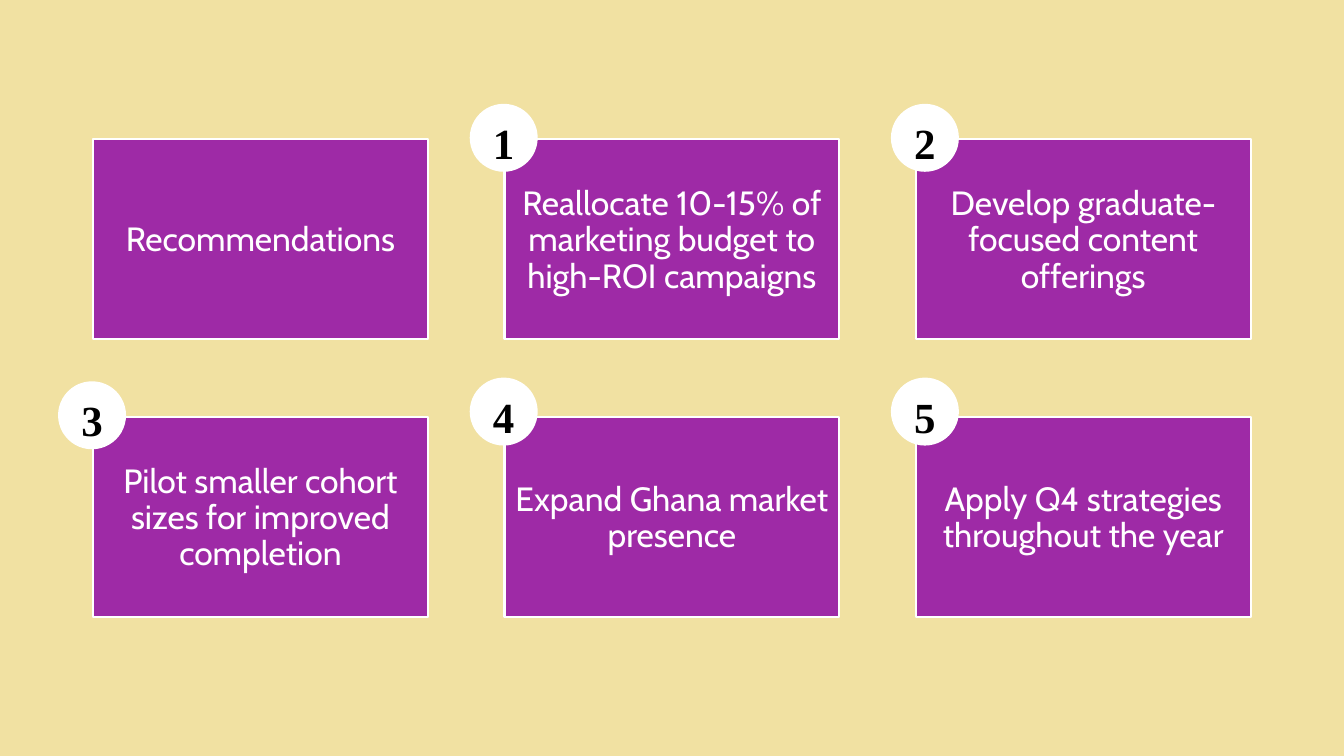
"""Build a slide with a title card and five numbered recommendation cards."""
from pptx import Presentation
from pptx.dml.color import RGBColor
from pptx.enum.shapes import MSO_SHAPE
from pptx.enum.text import MSO_ANCHOR, MSO_AUTO_SIZE, PP_ALIGN
from pptx.util import Cm, Pt

RECTANGLE = MSO_SHAPE.RECTANGLE
OVAL = MSO_SHAPE.OVAL
MIDDLE = MSO_ANCHOR.MIDDLE
NO_AUTOFIT = MSO_AUTO_SIZE.NONE
CENTER = PP_ALIGN.CENTER

SAND = RGBColor(0xF1, 0xE1, 0xA2)
PURPLE = RGBColor(0x9E, 0x2A, 0xA6)
WHITE = RGBColor(0xFF, 0xFF, 0xFF)
BLACK = RGBColor(0x00, 0x00, 0x00)

GRID_LEFT, GRID_TOP = 3.52, 5.25
COLUMN_STEP, ROW_STEP = 15.55, 10.5
COLUMNS = 3

TITLE = "Recommendations"
RECOMMENDATIONS = [
    ("Reallocate 10-15% of marketing budget to high-ROI campaigns", (19.04, 5.21)),
    ("Develop graduate-focused content offerings", (34.96, 5.21)),
    ("Pilot smaller cohort sizes for improved completion", (3.48, 15.7)),
    ("Expand Ghana market presence", (19.04, 15.56)),
    ("Apply Q4 strategies throughout the year", (34.96, 15.56)),
]


class CardPage:
    card_width, card_height = Cm(12.65), Cm(7.58)
    border = Pt(2.25)
    badge_size = 2.57
    card_font, badge_font = "Cabin", "Times New Roman"

    def __init__(self, page):
        self.page = page
        fill = page.background.fill
        fill.solid()
        fill.fore_color.rgb = SAND

    def paint(self, shape, color):
        shape.shadow.inherit = False
        shape.fill.solid()
        shape.fill.fore_color.rgb = color

    def set_text(self, shape, text, name, size, color, spacing, bold=False):
        frame = shape.text_frame
        frame.text = text
        frame.word_wrap = True
        frame.auto_size = NO_AUTOFIT
        frame.vertical_anchor = MIDDLE
        frame.margin_left = frame.margin_right = 0
        frame.margin_top = frame.margin_bottom = 0
        para = frame.paragraphs[0]
        para.alignment = CENTER
        para.line_spacing = Pt(spacing)
        para.space_before = Pt(0)
        para.font.name = name
        para.font.size = Pt(size)
        para.font.bold = bold
        para.font.color.rgb = color

    def style_card(self, box, text):
        self.paint(box, PURPLE)
        box.line.color.rgb = WHITE
        box.line.width = self.border
        self.set_text(box, text, self.card_font, 36, WHITE, 38.9)
        box.text_frame.margin_top = Cm(0.1)

    def title_card(self, text, left, top):
        box = self.page.shapes.title
        box.left, box.top = left, top
        box.width, box.height = self.card_width, self.card_height
        self.style_card(box, text)

    def card(self, text, left, top):
        box = self.page.shapes.add_shape(
            RECTANGLE, left, top, self.card_width, self.card_height)
        self.style_card(box, text)

    def badge(self, number, center_x, center_y):
        size = self.badge_size
        circle = self.page.shapes.add_shape(
            OVAL, Cm(center_x - size / 2), Cm(center_y - size / 2), Cm(size), Cm(size))
        self.paint(circle, WHITE)
        circle.line.fill.background()
        self.set_text(circle, str(number), self.badge_font, 46, BLACK, 64.4, bold=True)


def grid_position(index):
    row, column = divmod(index, COLUMNS)
    return Cm(GRID_LEFT + column * COLUMN_STEP), Cm(GRID_TOP + row * ROW_STEP)


def main():
    deck = Presentation()
    deck.slide_width, deck.slide_height = Cm(50.8), Cm(28.58)
    title_only = deck.slide_layouts[5]
    cards = CardPage(deck.slides.add_slide(title_only))

    cards.title_card(TITLE, *grid_position(0))
    for number, (text, _) in enumerate(RECOMMENDATIONS, start=1):
        cards.card(text, *grid_position(number))
    for number, (_, center) in enumerate(RECOMMENDATIONS, start=1):
        cards.badge(number, *center)

    deck.save("out.pptx")


if __name__ == "__main__":
    main()
